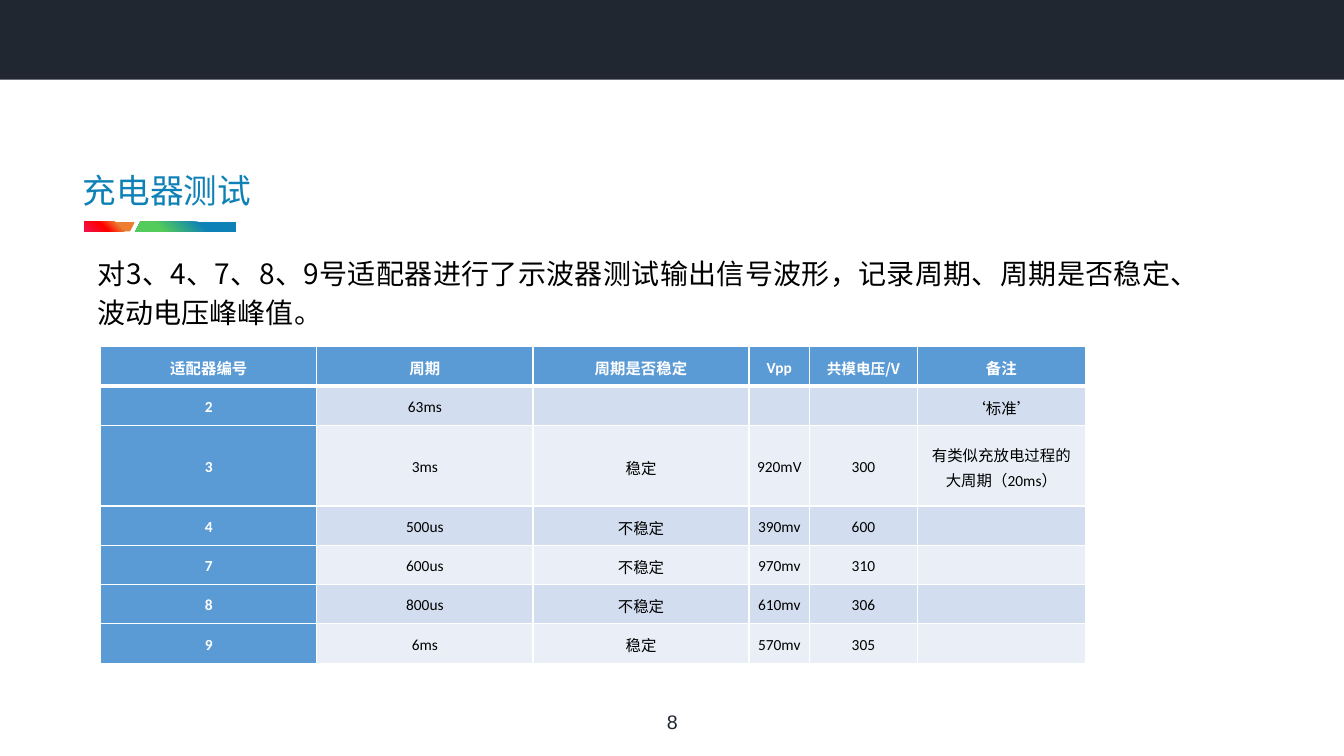
from lxml import etree
from pptx import Presentation
from pptx.dml.color import RGBColor
from pptx.enum.shapes import MSO_SHAPE
from pptx.enum.text import MSO_ANCHOR, PP_ALIGN as Align
from pptx.oxml import parse_xml
from pptx.oxml.ns import nsdecls, qn
from pptx.util import Inches, Pt

COLORS = {
    "ink": "202731", "title": "0E81B7", "text": "000000", "white": "FFFFFF",
    "head": "5B9BD5", "band": "D2DEEF", "band_light": "EAEFF7",
    "crimson": "F0134E", "red": "FF0000", "orange": "ED7D31", "green": "54CC5B",
}
CJK = "Noto Sans CJK SC"


class SlideBuilder:
    """Places elements by percent of the slide's width and height."""

    def __init__(self, prs):
        self.width, self.height = prs.slide_width, prs.slide_height
        self.slide = prs.slides.add_slide(prs.slide_layouts[6])

    def x(self, share):
        return round(self.width * share / 100)

    def y(self, share):
        return round(self.height * share / 100)

    def box(self, left, top, width, height):
        return self.x(left), self.y(top), self.x(width), self.y(height)

    def add_words(self, frame, words, size, color, font=CJK, bold=False,
                  align=Align.CENTER, spacing=None):
        paragraph = frame.paragraphs[0]
        paragraph.alignment = align
        if spacing:
            paragraph.line_spacing = spacing
        run = paragraph.add_run()
        run.text = words
        run.font.size, run.font.bold, run.font.name = Pt(size), bold, font
        run.font.color.rgb = RGBColor.from_string(COLORS[color])
        east_asian = etree.SubElement(run.font._element, qn("a:ea"))
        east_asian.set("typeface", CJK)

    def text(self, place, words, size, color, inset=(0.1, 0.05), **style):
        frame = self.slide.shapes.add_textbox(*self.box(*place)).text_frame
        frame.word_wrap = True
        frame.margin_left = frame.margin_right = Inches(inset[0])
        frame.margin_top = frame.margin_bottom = Inches(inset[1])
        self.add_words(frame, words, size, color, **style)

    def bar(self, place, color):
        bar = self.slide.shapes.add_shape(MSO_SHAPE.RECTANGLE, *self.box(*place))
        bar.shadow.inherit = False
        bar.fill.solid()
        bar.fill.fore_color.rgb = RGBColor.from_string(COLORS[color])
        bar.line.fill.background()

    def ribbon(self, corners, stops):
        points = [(self.x(across), self.y(down)) for across, down in corners]
        outline = self.slide.shapes.build_freeform(*points[0])
        outline.add_line_segments(points[1:], close=True)
        ribbon = outline.convert_to_shape()
        ribbon.shadow.inherit = False
        ribbon.line.fill.background()
        ribbon.fill.solid()
        solid = ribbon._element.spPr.find(qn("a:solidFill"))
        marks = "".join(
            f'<a:gs pos="{share * 1000}"><a:srgbClr val="{COLORS[color]}"/></a:gs>'
            for share, color in stops)
        solid.getparent().replace(solid, parse_xml(
            f'<a:gradFill {nsdecls("a")} rotWithShape="1"><a:gsLst>{marks}</a:gsLst>'
            '<a:path path="circle"><a:fillToRect t="100000" r="100000"/></a:path>'
            '</a:gradFill>'))

    def cell_borders(self, cell, **points):
        properties = cell._tc.get_or_add_tcPr()
        for position, side in enumerate(("L", "R", "T", "B")):
            properties.insert(position, parse_xml(
                f'<a:ln{side} {nsdecls("a")} w="{Pt(points.get(side, 1))}"><a:solidFill>'
                f'<a:srgbClr val="{COLORS["white"]}"/></a:solidFill></a:ln{side}>'))

    def table(self, left, top, columns, heights, rows):
        place = self.box(left, top, sum(columns), sum(heights))
        table = self.slide.shapes.add_table(len(rows), len(columns), *place).table
        table.horz_banding = table.first_row = False
        for column, share in zip(table.columns, columns):
            column.width = self.x(share)
        for r, (row, share) in enumerate(zip(rows, heights)):
            table.rows[r].height = self.y(share)
            for c, words in enumerate(row):
                self.cell(table.cell(r, c), words, r, c)

    def cell(self, cell, words, r, c):
        strong = r == 0 or c == 0
        fill = "head" if strong else "band" if r % 2 else "band_light"
        cell.fill.solid()
        cell.fill.fore_color.rgb = RGBColor.from_string(COLORS[fill])
        cell.vertical_anchor = MSO_ANCHOR.MIDDLE
        cell.margin_left = cell.margin_right = Inches(0.07)
        cell.margin_top = cell.margin_bottom = 0
        self.cell_borders(cell, T=3 if r == 1 else 1, B=3 if r == 0 else 1)
        if words:
            voltage_head = words == "共模电压/V"
            self.add_words(cell.text_frame, words, 10.5 if voltage_head else 11,
                           "white" if strong else "text",
                           font=CJK if voltage_head else "Calibri",
                           bold=strong, spacing=1.15)


def main():
    prs = Presentation()
    prs.slide_width, prs.slide_height = Inches(13.33), Inches(7.5)
    page = SlideBuilder(prs)

    # Page frame: number, two-part ribbon and top band
    page.text((45.6, 93.2, 8.85, 4.53), "8", 14, "ink", font="Arial")
    page.ribbon([(6.3, 29.33), (10.05, 29.33), (9.68, 30.6), (6.3, 30.67)],
                [(0, "crimson"), (40, "red"), (68, "orange")])
    page.ribbon([(17.55, 30.67), (10.05, 30.67), (10.43, 29.33), (17.55, 29.33)],
                [(26, "green"), (67, "title")])
    page.bar((0, 0, 100, 10.53), "ink")

    # Heading and summary
    page.text((4.65, 23.07, 15.53, 7.6), "充电器测试", 24, "title",
              inset=(0.1, 0), spacing=0.9)
    page.text((6.53, 32.67, 83.42, 11.33),
              "对3、4、7、8、9号适配器进行了示波器测试输出信号波形，"
              "记录周期、周期是否稳定、波动电压峰峰值。",
              20, "text", align=Align.JUSTIFY, spacing=1.15)

    # Measurements per adapter
    page.table(7.5, 45.87, [16.08] * 3 + [4.5, 8.03, 12.5],
               [5.2, 5.2, 10.67] + [5.2] * 4, [
        ("适配器编号", "周期", "周期是否稳定", "Vpp", "共模电压/V", "备注"),
        ("2", "63ms", "", "", "", "‘标准’"),
        ("3", "3ms", "稳定", "920mV", "300", "有类似充放电过程的大周期（20ms）"),
        ("4", "500us", "不稳定", "390mv", "600", ""),
        ("7", "600us", "不稳定", "970mv", "310", ""),
        ("8", "800us", "不稳定", "610mv", "306", ""),
        ("9", "6ms", "稳定", "570mv", "305", ""),
    ])
    prs.save("out.pptx")


if __name__ == "__main__":
    main()
